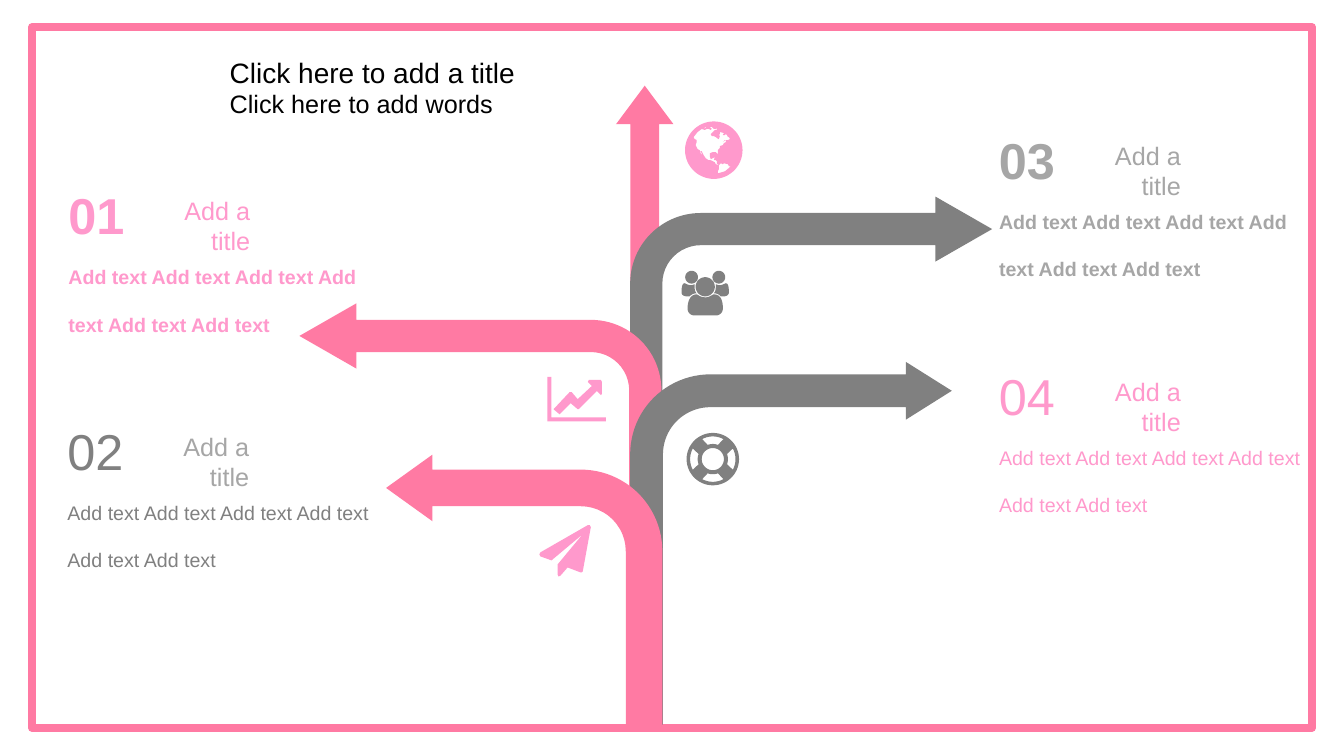
import math
from dataclasses import dataclass

import pptx
import pptx.dml.color
import pptx.enum.shapes
import pptx.enum.text
import pptx.util

Inches = pptx.util.Inches
RGBColor = pptx.dml.color.RGBColor
Shape = pptx.enum.shapes.MSO_SHAPE
Align = pptx.enum.text.PP_ALIGN
Point = tuple[float, float]

PINK = RGBColor(0xFF, 0x7A, 0xA3)
LIGHT_PINK = RGBColor(0xFF, 0x99, 0xCC)
GRAY = RGBColor(0x80, 0x80, 0x80)
LIGHT_GRAY = RGBColor(0xA6, 0xA6, 0xA6)
WHITE = RGBColor(0xFF, 0xFF, 0xFF)
BLACK = RGBColor(0, 0, 0)


@dataclass
class Arrow:
    kind: Shape
    box: tuple[float, float, float, float]
    adjustments: tuple[float, ...]
    color: RGBColor
    flipped: bool = False


@dataclass
class Label:
    number: str
    left: float
    top: float
    color: RGBColor
    title_color: RGBColor
    bold: bool = False


@dataclass
class Icon:
    color: RGBColor
    contours: list[list[Point]]


ARROWS = [
    Arrow(Shape.UP_ARROW, (6.11, 0.85, 0.57, 6.35), (0.5, 0.671), PINK),
    Arrow(Shape.BENT_ARROW, (6.25, 1.95, 3.59, 5.24), (0.089, 0.09, 0.157, 0.195), GRAY),
    Arrow(Shape.BENT_ARROW, (2.97, 3.01, 3.59, 4.19), (0.089, 0.09, 0.157, 0.195), PINK, True),
    Arrow(Shape.BENT_ARROW, (6.25, 3.59, 3.19, 3.6), (0.102, 0.09, 0.143, 0.249), GRAY),
    Arrow(Shape.BENT_ARROW, (3.83, 4.51, 2.74, 2.69), (0.135, 0.123, 0.171, 0.301), PINK, True),
]

LABELS = [
    Label("01", 0.58, 1.78, LIGHT_PINK, LIGHT_PINK, True),
    Label("02", 0.57, 4.12, GRAY, LIGHT_GRAY),
    Label("03", 9.81, 1.23, LIGHT_GRAY, LIGHT_GRAY, True),
    Label("04", 9.81, 3.57, LIGHT_PINK, LIGHT_PINK),
]


def arc(x: float, y: float, radius: float, start: float = 0, end: float = 360) -> list[Point]:
    """Points along a circular arc, angles in degrees."""
    steps = max(6, round(abs(end - start) / 6))
    angles = [math.radians(start + (end - start) * i / steps) for i in range(steps + 1)]
    return [(x + radius * math.cos(a), y + radius * math.sin(a)) for a in angles]


def curve(start: Point, *segments: tuple[float, ...]) -> list[Point]:
    """Points of an outline: a pair is a corner, six numbers are a cubic curve."""
    points = [start]
    for segment in segments:
        if len(segment) == 2:
            points.append(segment)
            continue
        x0, y0 = points[-1]
        x1, y1, x2, y2, x3, y3 = segment
        for t in (i / 8 for i in range(1, 9)):
            a, b, c, d = (1 - t) ** 3, 3 * t * (1 - t) ** 2, 3 * t * t * (1 - t), t ** 3
            points.append((a * x0 + b * x1 + c * x2 + d * x3, a * y0 + b * y1 + c * y2 + d * y3))
    return points


def mirror(points: list[Point], axis: float) -> list[Point]:
    return [(2 * axis - x, y) for x, y in points]


# Icon outlines
PAPER_PLANE = [[
    (5.86, 5.23), (5.78, 5.67), (5.77, 5.68), (5.76, 5.68), (5.63, 5.63), (5.56, 5.71),
    (5.54, 5.72), (5.53, 5.7), (5.53, 5.6), (5.78, 5.3), (5.47, 5.56), (5.36, 5.52),
    (5.35, 5.5), (5.36, 5.48), (5.83, 5.21), (5.85, 5.21)]]
CHART = [
    [(5.43, 3.74), (5.47, 3.74), (5.47, 4.14), (6.01, 4.14), (6.01, 4.18), (5.43, 4.18)],
    [(5.97, 3.91), (5.96, 3.92), (5.92, 3.88), (5.74, 4.06), (5.73, 4.06), (5.66, 4),
     (5.55, 4.11), (5.49, 4.06), (5.65, 3.89), (5.67, 3.89), (5.73, 3.96), (5.87, 3.83),
     (5.83, 3.79), (5.84, 3.77), (5.96, 3.77), (5.97, 3.79)]]
GLOBE = [
    arc(7.08, 1.49, 0.285),
    [(7.17, 1.41), (7.19, 1.39), (7.22, 1.39), (7.24, 1.38), (7.23, 1.36), (7.22, 1.36),
     (7.21, 1.34), (7.2, 1.33), (7.19, 1.34), (7.17, 1.34), (7.18, 1.32), (7.14, 1.31),
     (7.14, 1.33), (7.13, 1.34), (7.14, 1.35), (7.13, 1.38), (7.11, 1.37), (7.1, 1.36),
     (7.08, 1.35), (7.06, 1.35), (7.05, 1.33), (7.07, 1.31), (7.09, 1.29), (7.11, 1.29),
     (7.11, 1.27), (7.1, 1.28), (7.08, 1.28), (7.06, 1.26), (7.04, 1.26), (7.06, 1.28),
     (7.05, 1.29), (7.03, 1.28), (7.01, 1.28), (7, 1.26), (6.97, 1.28), (7, 1.27),
     (7.01, 1.28), (6.99, 1.29), (6.96, 1.28), (6.92, 1.31), (6.88, 1.36), (6.89, 1.38),
     (6.91, 1.39), (6.91, 1.41), (6.9, 1.44), (6.92, 1.48), (6.94, 1.49), (6.95, 1.52),
     (6.97, 1.54), (6.95, 1.5), (6.96, 1.5), (6.98, 1.54), (7, 1.57), (7.03, 1.59),
     (7.05, 1.59), (7.07, 1.6), (7.09, 1.61), (7.1, 1.63), (7.12, 1.64), (7.13, 1.63),
     (7.11, 1.63), (7.11, 1.6), (7.1, 1.59), (7.08, 1.59), (7.09, 1.56), (7.07, 1.57),
     (7.05, 1.58), (7.04, 1.55), (7.04, 1.52), (7.07, 1.51), (7.1, 1.51), (7.11, 1.52),
     (7.12, 1.53), (7.12, 1.49), (7.14, 1.47), (7.14, 1.45), (7.17, 1.44), (7.18, 1.42),
     (7.2, 1.41), (7.2, 1.39), (7.18, 1.4)],
    [(7.25, 1.65), (7.23, 1.65), (7.22, 1.63), (7.18, 1.62), (7.17, 1.63), (7.15, 1.62),
     (7.13, 1.64), (7.13, 1.68), (7.12, 1.7), (7.12, 1.72), (7.19, 1.7)]]
LIFEBUOY = [arc(7.07, 4.555, 0.26), arc(7.07, 4.555, 0.11)] + [
    arc(7.07, 4.555, 0.225, angle - 28, angle + 28) + arc(7.07, 4.555, 0.15, angle + 20, angle - 20)
    for angle in range(0, 360, 90)]
SIDE_PERSON = [
    arc(6.86, 2.75, 0.063),
    curve((6.84, 2.94), (6.81, 2.94), (6.79, 2.94, 6.76, 2.93, 6.76, 2.9),
          (6.76, 2.88, 6.76, 2.81, 6.79, 2.81), (6.8, 2.81, 6.82, 2.83, 6.86, 2.83),
          (6.89, 2.82), (6.89, 2.84), (6.89, 2.86, 6.89, 2.89, 6.91, 2.91),
          (6.88, 2.91, 6.86, 2.92, 6.84, 2.94))]
PEOPLE = SIDE_PERSON + [mirror(part, 6.995) for part in SIDE_PERSON] + [
    arc(6.995, 2.845, 0.095),
    curve((7.1, 3.13), (6.89, 3.13), (6.85, 3.13, 6.82, 3.1, 6.82, 3.06),
          (6.82, 3, 6.84, 2.92, 6.91, 2.92), (6.92, 2.92, 6.94, 2.95, 7, 2.95),
          (7.04, 2.95, 7.07, 2.92, 7.08, 2.92), (7.16, 2.92, 7.17, 3, 7.17, 3.06),
          (7.17, 3.1, 7.14, 3.13, 7.1, 3.13))]

ICONS = [Icon(LIGHT_PINK, PAPER_PLANE), Icon(LIGHT_PINK, GLOBE), Icon(LIGHT_PINK, CHART),
         Icon(GRAY, LIFEBUOY), Icon(GRAY, PEOPLE)]


def paint(shape, color: RGBColor) -> None:
    shape.shadow.inherit = False
    shape.fill.solid()
    shape.fill.fore_color.rgb = color
    shape.line.fill.background()


def draw_arrow(slide, arrow: Arrow) -> None:
    shape = slide.shapes.add_shape(arrow.kind, *map(Inches, arrow.box))
    for index, value in enumerate(arrow.adjustments):
        shape.adjustments[index] = value
    if arrow.flipped:
        shape._element.spPr.get_or_add_xfrm().set("flipH", "1")
    paint(shape, arrow.color)


def draw_icon(slide, icon: Icon) -> None:
    outlines = [[(Inches(x), Inches(y)) for x, y in contour] for contour in icon.contours]
    builder = slide.shapes.build_freeform(*outlines[0][0])
    builder.add_line_segments(outlines[0][1:])
    for outline in outlines[1:]:
        builder.move_to(*outline[0])
        builder.add_line_segments(outline[1:])
    paint(builder.convert_to_shape(), icon.color)


def draw_text(slide, text: str, box: tuple[float, float, float, float], size: int, color: RGBColor,
              bold: bool = False, align: Align = Align.LEFT, spacing: float = 1.0,
              wrap: bool = True) -> None:
    frame = slide.shapes.add_textbox(*map(Inches, box)).text_frame
    frame.word_wrap = wrap
    frame.auto_size = pptx.enum.text.MSO_AUTO_SIZE.SHAPE_TO_FIT_TEXT
    frame.text = text
    paragraph = frame.paragraphs[0]
    paragraph.alignment = align
    paragraph.line_spacing = spacing
    font = paragraph.runs[0].font
    font.name, font.size, font.bold = "Arial", pptx.util.Pt(size), bold
    font.color.rgb = color


def draw_label(slide, label: Label) -> None:
    left, top = label.left, label.top
    draw_text(slide, label.number, (left, top, 0.76, 0.71), 36, label.color, label.bold, wrap=False)
    draw_text(slide, "Add a title", (left + 0.79, top + 0.11, 1.21, 0.4), 18, label.title_color,
              align=Align.RIGHT)
    draw_text(slide, "Add text Add text Add text Add text Add text Add text",
              (left, top + 0.57, 3.29, 1.04), 14, label.color, label.bold, spacing=2.0)


def main() -> None:
    presentation = pptx.Presentation()
    presentation.slide_width, presentation.slide_height = Inches(13.33), Inches(7.5)
    slide = presentation.slides.add_slide(presentation.slide_layouts[6])

    # Frame and heading
    frame = slide.shapes.add_shape(Shape.RECTANGLE, *map(Inches, (0.32, 0.27, 12.69, 6.95)))
    paint(frame, WHITE)
    frame.line.color.rgb = PINK
    frame.line.width = pptx.util.Pt(6)
    draw_text(slide, "Click here to add a title", (2.18, 0.5, 3.11, 0.44), 20, BLACK)
    draw_text(slide, "Click here to add words", (2.18, 0.83, 2.93, 0.4), 18, BLACK,
              align=Align.JUSTIFY)

    # Arrow tree, icons and labels
    for arrow in ARROWS:
        draw_arrow(slide, arrow)
    for icon in ICONS:
        draw_icon(slide, icon)
    for label in LABELS:
        draw_label(slide, label)

    presentation.save("out.pptx")


if __name__ == "__main__":
    main()
